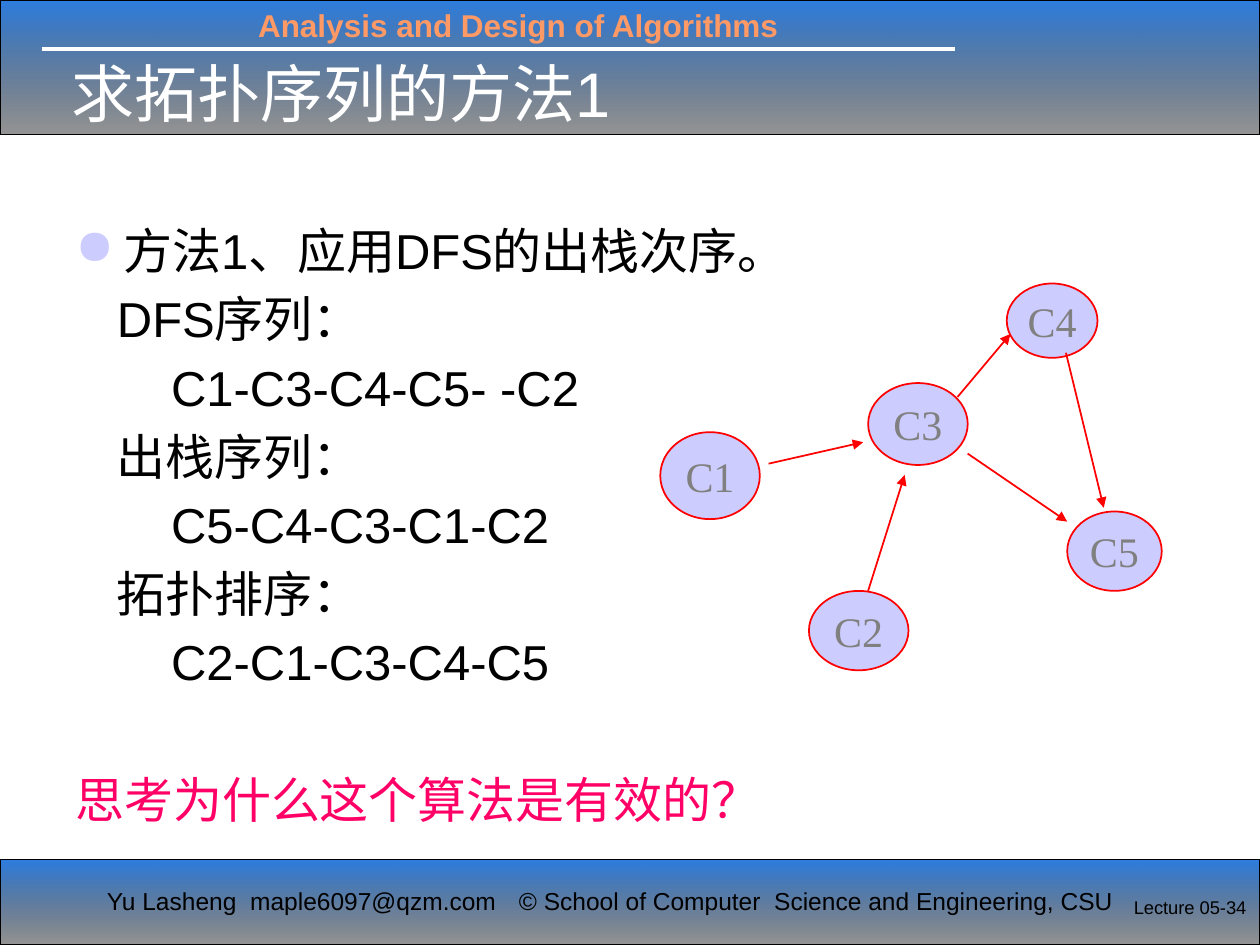
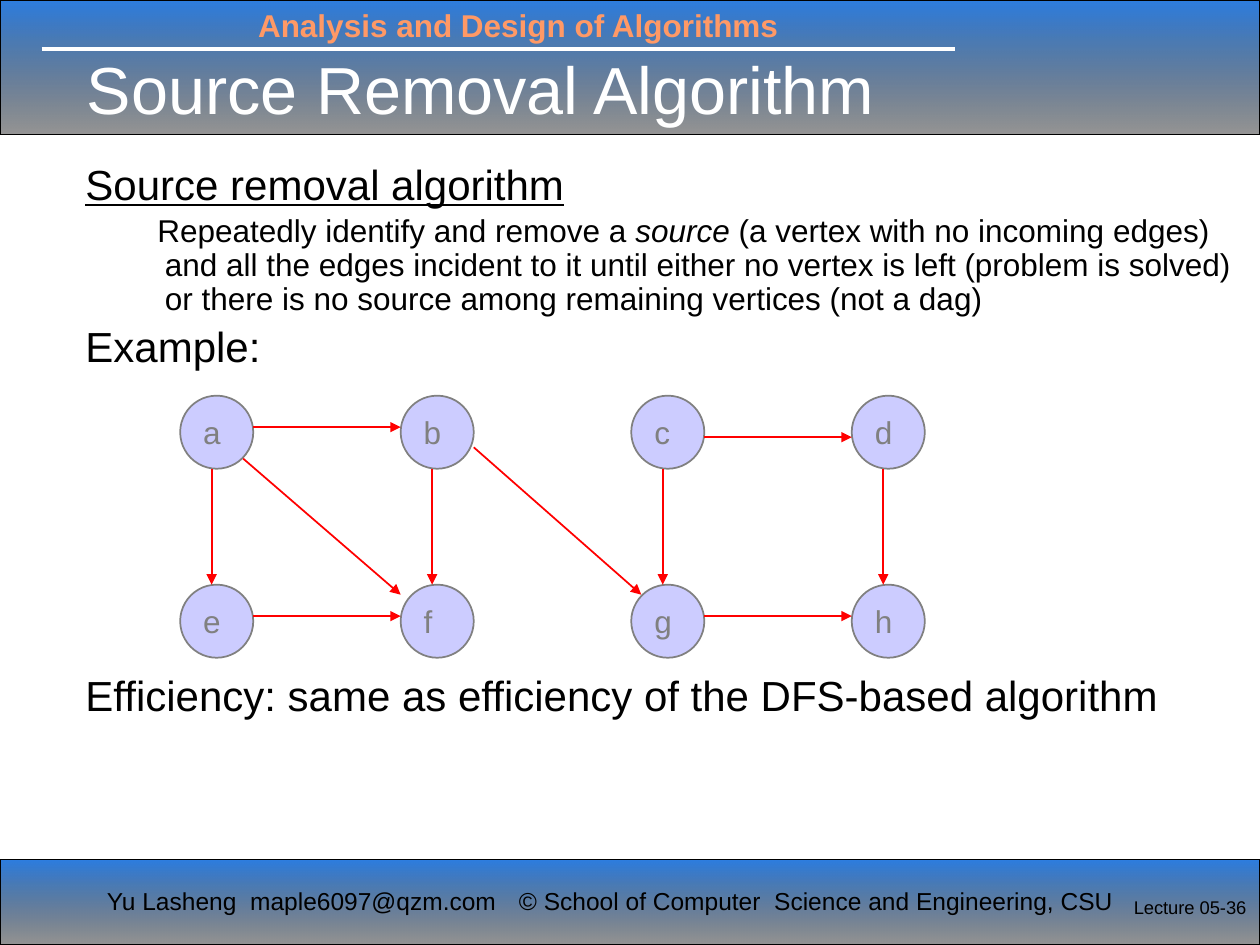
import pptx
import pptx.dml.color
import pptx.enum.shapes
import pptx.enum.text
import pptx.oxml
import pptx.oxml.ns
import pptx.util
from pptx.util import Inches, Pt

RGBColor = pptx.dml.color.RGBColor
ANCHOR = pptx.enum.text.MSO_ANCHOR
ALIGN = pptx.enum.text.PP_ALIGN
SHAPE = pptx.enum.shapes.MSO_SHAPE

BLACK = RGBColor(0x00, 0x00, 0x00)
WHITE = RGBColor(0xFF, 0xFF, 0xFF)
BLUE = RGBColor(0x0E, 0x6B, 0xDC)
ORANGE = RGBColor(0xFF, 0x99, 0x66)
LAVENDER = RGBColor(0xCC, 0xCC, 0xFF)
GRAY = RGBColor(0x80, 0x80, 0x80)
RED = RGBColor(0xFF, 0x00, 0x00)
PINK = RGBColor(0xFF, 0x00, 0x66)

# Shared content: text, box (left, top, width, height), format
BANDS = [(0, 0, 10, 1.07), (0, 6.82, 10, 0.68)]
BAND_STOPS = [(BLUE, 88), (BLACK, 41)]  # colour, opacity in percent
LABELS = [
    ("Analysis and Design of Algorithms", (1.95, 0, 5, 0.4),
     dict(size=18, color=ORANGE, bold=True)),
    ("Yu Lasheng  maple6097@qzm.com", (0.75, 6.98, 3.3, 0.34), dict(size=14)),
    ("© School of Computer  Science and Engineering, CSU",
     (4.02, 6.98, 5.12, 0.34), dict(size=14)),
]
LECTURE_BOX = (8.9, 7.06, 1.1, 0.4)

# Slide 1: paragraphs are (text, format)
SEQUENCE = dict(margin=0.76)
HEADING = dict(margin=0.33)
DFS_METHOD = [
    ("方法1、应用DFS的出栈次序。",
     dict(margin=0.38, indent=-0.38, before=0, bullet="●")),
    ("DFS序列：", HEADING),
    ("C1-C3-C4-C5- -C2", SEQUENCE),
    ("出栈序列：", HEADING),
    ("C5-C4-C3-C1-C2", SEQUENCE),
    ("拓扑排序：", HEADING),
    ("C2-C1-C3-C4-C5", SEQUENCE),
    ("思考为什么这个算法是有效的？", dict(before=44.8, color=PINK)),
]
COURSES = {
    "C1": (5.24, 3.43, 0.79, 0.69),
    "C3": (6.89, 3.04, 0.79, 0.65),
    "C2": (6.42, 4.69, 0.79, 0.63),
    "C5": (8.47, 4.06, 0.75, 0.63),
    "C4": (7.99, 2.25, 0.72, 0.59),
}
PREREQUISITES = [
    ((7.6, 3.15), (8.02, 2.65)),
    ((6.1, 3.68), (6.85, 3.51)),
    ((7.68, 3.6), (8.47, 4.14)),
    ((6.89, 4.69), (7.18, 3.77)),
    ((8.46, 2.8), (8.76, 4.03)),
]

# Slide 2
SOURCE_REMOVAL = [
    ("Source removal algorithm", dict(before=0, underline=True)),
    ([("Repeatedly identify and remove a ", {}),
      ("source", dict(italic=True)),
      (" (a vertex with no incoming edges) and all the edges incident to it "
       "until either no vertex is left (problem is solved) or there is no "
       "source among remaining vertices (not a dag)", {})],
     dict(size=18, line=19.4, before=3.6, margin=0.63, indent=-0.06)),
    ("Example:", {}),
    ("Efficiency: same as efficiency of the DFS-based algorithm",
     dict(before=173.8)),
]
VERTEX_ROWS = ["abcd", "efgh"]
VERTEX_LEFTS = [1.43, 3.18, 5.01, 6.76]
VERTEX_TOPS = [3.14, 4.64]
VERTEX_SIZE = 0.58
# Points on a vertex, measured from its top left corner
LEFT, RIGHT = (0, 0.25), (0.58, 0.25)
TOP, BOTTOM = (0.25, 0), (0.25, 0.58)
EDGES = [
    ("a", RIGHT, "b", LEFT), ("e", RIGHT, "f", LEFT), ("g", RIGHT, "h", LEFT),
    ("c", (0.58, 0.33), "d", (0, 0.33)),
    *((upper, BOTTOM, lower, TOP) for upper, lower in ("ae", "bf", "cg", "dh")),
    ("a", (0.5, 0.5), "f", (0, 0.08)),
    ("b", (0.58, 0.41), "g", (0.08, 0.08)),
]


def inches(values):
    return [Inches(value) for value in values]


def add_xml(parent, tag, **attributes):
    child = pptx.oxml.parse_xml(f"<a:{tag} {pptx.oxml.ns.nsdecls('a')}/>")
    for name, value in attributes.items():
        child.set(name, str(value))
    parent.append(child)
    return child


def write(shape, content, anchor=ANCHOR.TOP, wrap=True, **base):
    """Fill a shape with a string or a list of (text or runs, format)."""
    frame = shape.text_frame
    frame.word_wrap = wrap
    frame.auto_size = pptx.enum.text.MSO_AUTO_SIZE.NONE
    frame.vertical_anchor = anchor
    paragraphs = [(content, {})] if isinstance(content, str) else content
    for number, (text, changes) in enumerate(paragraphs):
        style = {**base, **changes}
        paragraph = frame.add_paragraph() if number else frame.paragraphs[0]
        paragraph.alignment = style.get("align", ALIGN.LEFT)
        paragraph.space_before = Pt(style.get("before", 0))
        if "line" in style:
            paragraph.line_spacing = Pt(style["line"])
        properties = paragraph._p.get_or_add_pPr()
        properties.set("marL", str(Inches(style.get("margin", 0))))
        properties.set("indent", str(Inches(style.get("indent", 0))))
        if "bullet" in style:
            add_xml(add_xml(properties, "buClr"), "srgbClr", val=LAVENDER)
            add_xml(properties, "buChar", char=style["bullet"])
        else:
            add_xml(properties, "buNone")
        for words, emphasis in [(text, {})] if isinstance(text, str) else text:
            look = {**style, **emphasis}
            run = paragraph.add_run()
            run.text = words
            run.font.name = look.get("font", "Arial")
            run.font.size = Pt(look["size"])
            run.font.color.rgb = look.get("color", BLACK)
            run.font.bold = look.get("bold", False)
            run.font.italic = look.get("italic", False)
            run.font.underline = look.get("underline", False)


def add_text(slide, content, box, **style):
    write(slide.shapes.add_textbox(*inches(box)), content, **style)


def add_line(slide, start, end, color, width, arrow=False):
    line = slide.shapes.add_connector(
        pptx.enum.shapes.MSO_CONNECTOR.STRAIGHT, *inches(start + end))
    line.line.color.rgb = color
    line.line.width = Pt(width)
    if arrow:
        add_xml(line.line._get_or_add_ln(), "tailEnd", type="triangle")
    add_xml(line._element.spPr, "effectLst")


def add_band(slide, box):
    band = slide.shapes.add_shape(SHAPE.RECTANGLE, *inches(box))
    band.shadow.inherit = False
    band.fill.gradient()
    band.fill.gradient_angle = 270
    for stop, (color, opacity) in zip(band.fill.gradient_stops, BAND_STOPS):
        stop.color.rgb = color
        add_xml(stop._gs[0], "alpha", val=opacity * 1000)
    band.line.color.rgb = BLACK
    band.line.width = Pt(0.75)


def add_node(slide, name, box, outline, **style):
    node = slide.shapes.add_shape(SHAPE.OVAL, *inches(box))
    node.shadow.inherit = False
    node.fill.solid()
    node.fill.fore_color.rgb = LAVENDER
    node.line.color.rgb = outline
    node.line.width = Pt(1)
    write(node, name, anchor=ANCHOR.MIDDLE, wrap=False, color=GRAY, **style)


def add_slide(deck, heading, heading_box, heading_size, lecture):
    """Add a slide with the shared bands, labels and title."""
    slide = deck.slides.add_slide(deck.slide_layouts[5])
    for box in BANDS:
        add_band(slide, box)
    add_line(slide, (0.33, 0.39), (7.58, 0.39), WHITE, 2.25)
    for text, box, style in LABELS:
        add_text(slide, text, box, **style)
    add_text(slide, lecture, LECTURE_BOX, size=10.5, wrap=False)
    title = slide.shapes.title
    title.left, title.top, title.width, title.height = inches(heading_box)
    write(title, heading, anchor=ANCHOR.MIDDLE, size=heading_size, color=WHITE)
    # The title must lie in front of the top band
    title._element.getparent().append(title._element)
    return slide


def add_dfs_slide(deck):
    slide = add_slide(deck, "求拓扑序列的方法1", (0.47, 0.39, 7.81, 0.68), 36,
                      "Lecture 05-34")
    add_text(slide, DFS_METHOD, (0.5, 1.7, 9, 5.1),
             size=28, line=33.6, before=5.6)
    for course, box in COURSES.items():
        add_node(slide, course, box, RED, size=24, font="Times New Roman",
                 align=ALIGN.CENTER)
    for start, end in PREREQUISITES:
        add_line(slide, start, end, RED, 1, arrow=True)


def add_source_removal_slide(deck):
    slide = add_slide(deck, "Source Removal Algorithm",
                      (0.59, 0.32, 7.64, 0.75), 38, "Lecture 05-36")
    add_text(slide, SOURCE_REMOVAL, (0.58, 1.25, 9.42, 5.5),
             size=24, line=25.9, before=4.8)
    corners = {vertex: (left, top)
               for names, top in zip(VERTEX_ROWS, VERTEX_TOPS)
               for vertex, left in zip(names, VERTEX_LEFTS)}
    for vertex, corner in corners.items():
        add_node(slide, vertex, corner + (VERTEX_SIZE, VERTEX_SIZE), GRAY,
                 size=18)
    for tail, tail_offset, head, head_offset in EDGES:
        start = tuple(map(sum, zip(corners[tail], tail_offset)))
        end = tuple(map(sum, zip(corners[head], head_offset)))
        add_line(slide, start, end, RED, 1, arrow=True)


def main():
    deck = pptx.Presentation()
    deck.slide_width, deck.slide_height = inches((10, 7.5))
    add_dfs_slide(deck)
    add_source_removal_slide(deck)
    deck.save("out.pptx")


if __name__ == "__main__":
    main()
